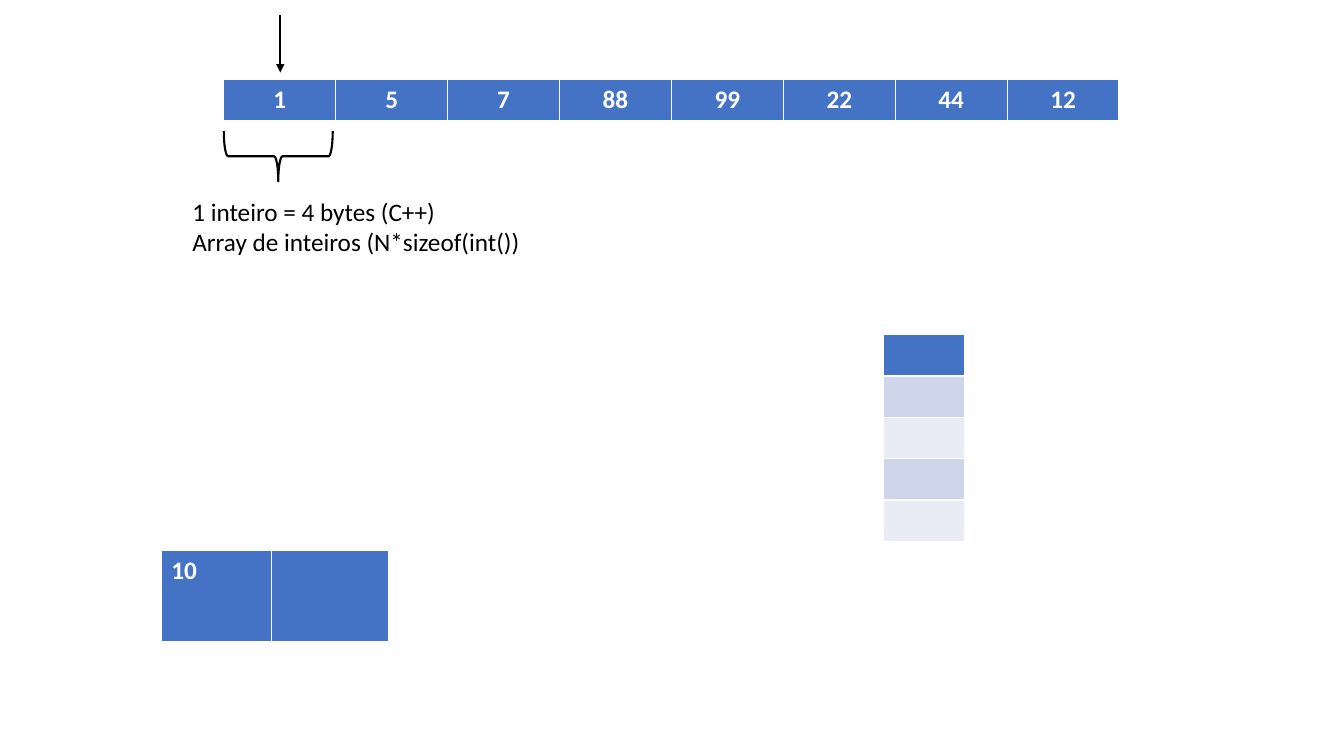
import pptx
import pptx.util
import pptx.dml.color
import pptx.enum.shapes
import pptx.enum.text
import pptx.oxml.ns
import lxml.etree

PX = 9144
BLUE, BAND, PALE = "4472C4", "CFD5EA", "E9EBF5"


def rgb(value):
    return pptx.dml.color.RGBColor.from_string(value)


def write(tf, text, size=18, color="000000", bold=False, align=pptx.enum.text.PP_ALIGN.LEFT):
    for i, line in enumerate(text.split("\n")):
        p = tf.paragraphs[0] if i == 0 else tf.add_paragraph()
        p.alignment = align
        r = p.add_run()
        r.text = line
        r.font.name = "Calibri"
        r.font.size = pptx.util.Pt(size)
        r.font.bold = bold
        r.font.color.rgb = rgb(color)


prs = pptx.Presentation()
prs.slide_width, prs.slide_height = 1333 * PX, 750 * PX
s = prs.slides.add_slide(prs.slide_layouts[6])

center = pptx.enum.text.PP_ALIGN.CENTER
left = pptx.enum.text.PP_ALIGN.LEFT
array = [["1", "5", "7", "88", "99", "22", "44", "12"]]
node = [["10", ""]]
stack = [[""]] * 5
tables = [
    (222, 79, [111] * 8, 41, array, [BLUE], center),
    (160, 546, [109, 116], 91, node, [BLUE], left),
    (876, 332, [81], 41, stack, [BLUE, BAND, PALE, BAND, PALE], left),
]
for x, y, widths, height, rows, fills, align in tables:
    table = s.shapes.add_table(len(rows), len(widths), x * PX, y * PX,
                               sum(widths) * PX, height * len(rows) * PX).table
    for column, width in zip(table.columns, widths):
        column.width = width * PX
    for i, (values, fill) in enumerate(zip(rows, fills)):
        table.rows[i].height = height * PX
        for j, value in enumerate(values):
            cell = table.cell(i, j)
            cell.fill.solid()
            cell.fill.fore_color.rgb = rgb(fill)
            if value:
                write(cell.text_frame, value, color="FFFFFF", bold=True, align=align)

tf = s.shapes.add_textbox(181 * PX, 190 * PX, 367 * PX, 71 * PX).text_frame
tf.word_wrap = True
tf.auto_size = pptx.enum.text.MSO_AUTO_SIZE.SHAPE_TO_FIT_TEXT
write(tf, "1 inteiro = 4 bytes (C++)\nArray de inteiros (N*sizeof(int())")

arrow = s.shapes.add_connector(pptx.enum.shapes.MSO_CONNECTOR.STRAIGHT,
                               278 * PX, 15 * PX, 278 * PX, 72 * PX)
brace = s.shapes.add_shape(pptx.enum.shapes.MSO_SHAPE.LEFT_BRACE,
                           251 * PX, 101 * PX, 50 * PX, 108 * PX)
brace.rotation = 270
brace.shadow.inherit = False
brace.fill.background()
for sp in (arrow, brace):
    sp.line.color.rgb = rgb("000000")
    sp.line.width = pptx.util.Pt(1.5)
qn = pptx.oxml.ns.qn
lxml.etree.SubElement(arrow.line._get_or_add_ln(), qn("a:tailEnd"), type="triangle")
lxml.etree.SubElement(arrow._element.spPr, qn("a:effectLst"))

prs.save("out.pptx")
